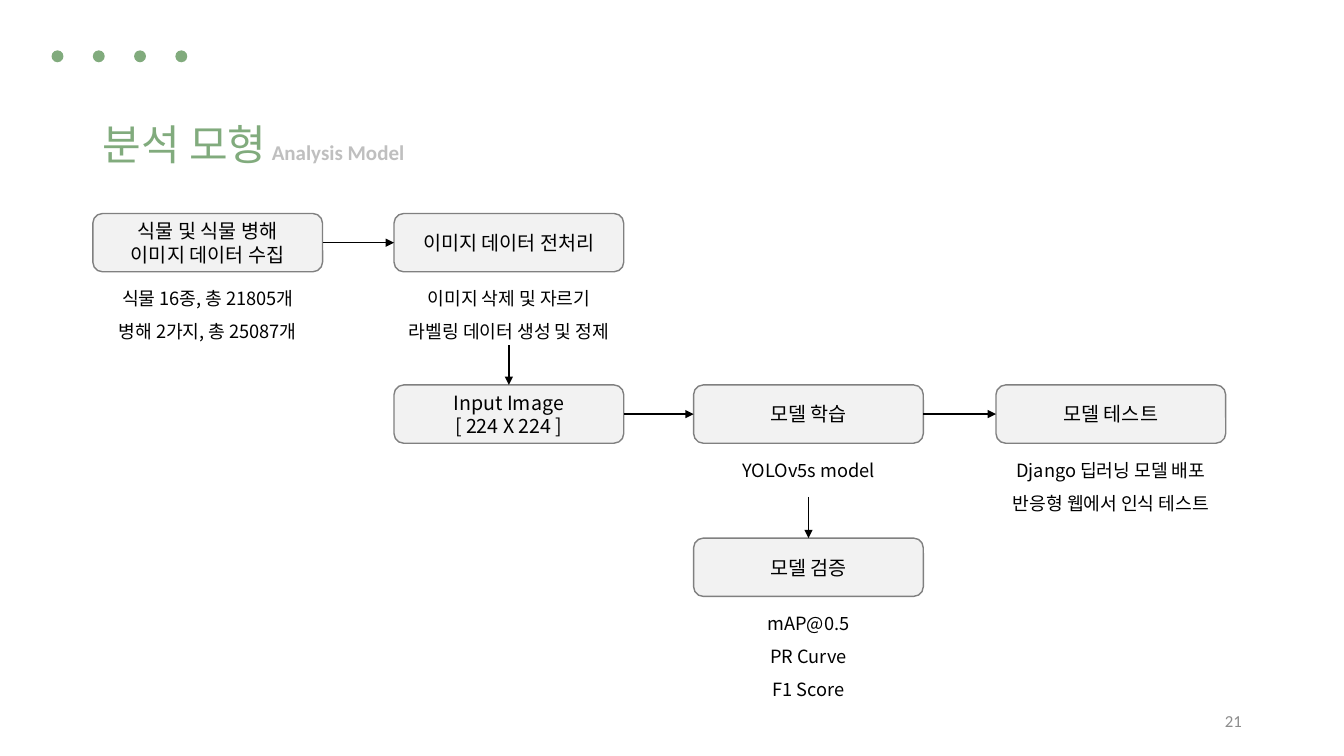
import pptx
import pptx.util
import pptx.dml.color
import pptx.enum.shapes
import pptx.enum.text
import pptx.oxml.ns
from lxml import etree

Cm, Pt = pptx.util.Cm, pptx.util.Pt
RGB = pptx.dml.color.RGBColor.from_string
SHAPE = pptx.enum.shapes.MSO_SHAPE
ALIGN = pptx.enum.text.PP_ALIGN
ANCHOR = pptx.enum.text.MSO_ANCHOR
GROW = pptx.enum.text.MSO_AUTO_SIZE.SHAPE_TO_FIT_TEXT
qn = pptx.oxml.ns.qn

KOREAN, LATIN = "Noto Sans CJK KR", "Calibri"
THEME = {
    "green": RGB("81AB7D"),
    "box_fill": RGB("F2F2F2"),
    "box_line": RGB("808080"),
    "arrow": RGB("000000"),
    "title": {"name": KOREAN, "size": Pt(30), "color": RGB("81AB7D")},
    "subtitle": {"name": LATIN, "size": Pt(15), "color": RGB("BFBFBF"), "bold": True},
    "step": {"name": KOREAN, "size": Pt(14), "color": RGB("000000")},
    "caption": {"name": KOREAN, "size": Pt(13), "color": RGB("000000")},
    "page": {"name": LATIN, "size": Pt(12), "color": RGB("8C8C8C")},
}


def write(sp, lines, style, align=ALIGN.LEFT, spacing=None, **frame):
    """Fill a shape with one paragraph per line; frame holds text frame settings."""
    tf = sp.text_frame
    tf.word_wrap = True
    for key, value in frame.items():
        setattr(tf, key, value)
    for i, line in enumerate(lines):
        p = tf.add_paragraph() if i else tf.paragraphs[0]
        p.alignment = align
        if spacing:
            p.line_spacing = spacing
        r = p.add_run()
        r.text = line
        for key, value in THEME[style].items():
            if key == "color":
                r.font.color.rgb = value
            else:
                setattr(r.font, key, value)
        ea = etree.SubElement(r.font._element, qn("a:ea"))
        ea.set("typeface", THEME[style]["name"])


def add_arrow(start, end, begin=None, finish=None):
    """Draw an arrow; begin and finish are (shape, side) pairs to join."""
    c = s.shapes.add_connector(pptx.enum.shapes.MSO_CONNECTOR.STRAIGHT, *start, *end)
    if begin:
        c.begin_connect(*begin)
    if finish:
        c.end_connect(*finish)
    c.line.color.rgb = THEME["arrow"]
    c.line.width = Pt(1)
    etree.SubElement(c.line._get_or_add_ln(), qn("a:tailEnd")).set("type", "triangle")
    etree.SubElement(c._element.spPr, qn("a:effectLst"))


prs = pptx.Presentation()
prs.slide_width, prs.slide_height = Cm(33.87), Cm(19.05)
s = prs.slides.add_slide(prs.slide_layouts[6])

# Heading and page number
headings = [
    ("분석 모형", "title", (2.34, 2.87, 5.03, 1.55), ALIGN.LEFT, {"auto_size": GROW}),
    ("Analysis Model", "subtitle", (6.6, 3.38, 4.9, 0.89), ALIGN.LEFT, {"auto_size": GROW}),
    ("21", "page", (23.93, 17.65, 7.62, 1.02), ALIGN.RIGHT, {"vertical_anchor": ANCHOR.MIDDLE}),
]
for text, style, place, align, frame in headings:
    sp = s.shapes.add_textbox(*map(Cm, place))
    write(sp, [text], style, align, **frame)

# Row of dots
dots = s.shapes.add_group_shape()
for i in range(4):
    dot = dots.shapes.add_shape(SHAPE.OVAL, Cm(1.3 + 1.04 * i), Cm(1.27), Cm(0.3), Cm(0.3))
    dot.shadow.inherit = False
    dot.fill.solid()
    dot.fill.fore_color.rgb = THEME["green"]
    dot.line.fill.background()

# Steps: column, row, label lines, caption lines
COLUMNS = [2.34, 9.93, 17.48, 25.1]
ROWS = [5.38, 9.7, 13.56]
BOX_W, BOX_H = 5.79, 1.47
steps = {
    "collect": (0, 0, ["식물 및 식물 병해", "이미지 데이터 수집"],
                ["식물 16종, 총 21805개", "병해 2가지, 총 25087개"]),
    "prepare": (1, 0, ["이미지 데이터 전처리"],
                ["이미지 삭제 및 자르기", "라벨링 데이터 생성 및 정제"]),
    "input": (1, 1, ["Input Image", "[ 224 X 224 ]"], []),
    "train": (2, 1, ["모델 학습"], ["YOLOv5s model"]),
    "test": (3, 1, ["모델 테스트"], ["Django 딥러닝 모델 배포", "반응형 웹에서 인식 테스트"]),
    "validate": (2, 2, ["모델 검증"], ["mAP@0.5", "PR Curve", "F1 Score"]),
}
boxes, captions = {}, {}
for name, (col, row, label, notes) in steps.items():
    x, y = COLUMNS[col], ROWS[row]
    box = s.shapes.add_shape(SHAPE.ROUNDED_RECTANGLE, Cm(x), Cm(y), Cm(BOX_W), Cm(BOX_H))
    box.shadow.inherit = False
    box.fill.solid()
    box.fill.fore_color.rgb = THEME["box_fill"]
    box.line.color.rgb = THEME["box_line"]
    box.line.width = Pt(1)
    write(box, label, "step", ALIGN.CENTER, vertical_anchor=ANCHOR.MIDDLE)
    boxes[name] = box
    if notes:
        height = 0.19 + 0.83 * len(notes)
        caption = s.shapes.add_textbox(Cm(x), Cm(y + BOX_H), Cm(BOX_W), Cm(height))
        write(caption, notes, "caption", ALIGN.CENTER, 1.5, auto_size=GROW)
        captions[name] = caption

# Arrows between the steps
origin = (0, 0)
for left, right in [("collect", "prepare"), ("input", "train"), ("train", "test")]:
    add_arrow(origin, origin, (boxes[left], 3), (boxes[right], 1))
add_arrow(origin, origin, (captions["prepare"], 2), (boxes["input"], 0))
middle = Cm(COLUMNS[2] + BOX_W / 2)
add_arrow((middle, Cm(12.52)), (middle, Cm(ROWS[2])), finish=(boxes["validate"], 0))

prs.save("out.pptx")
